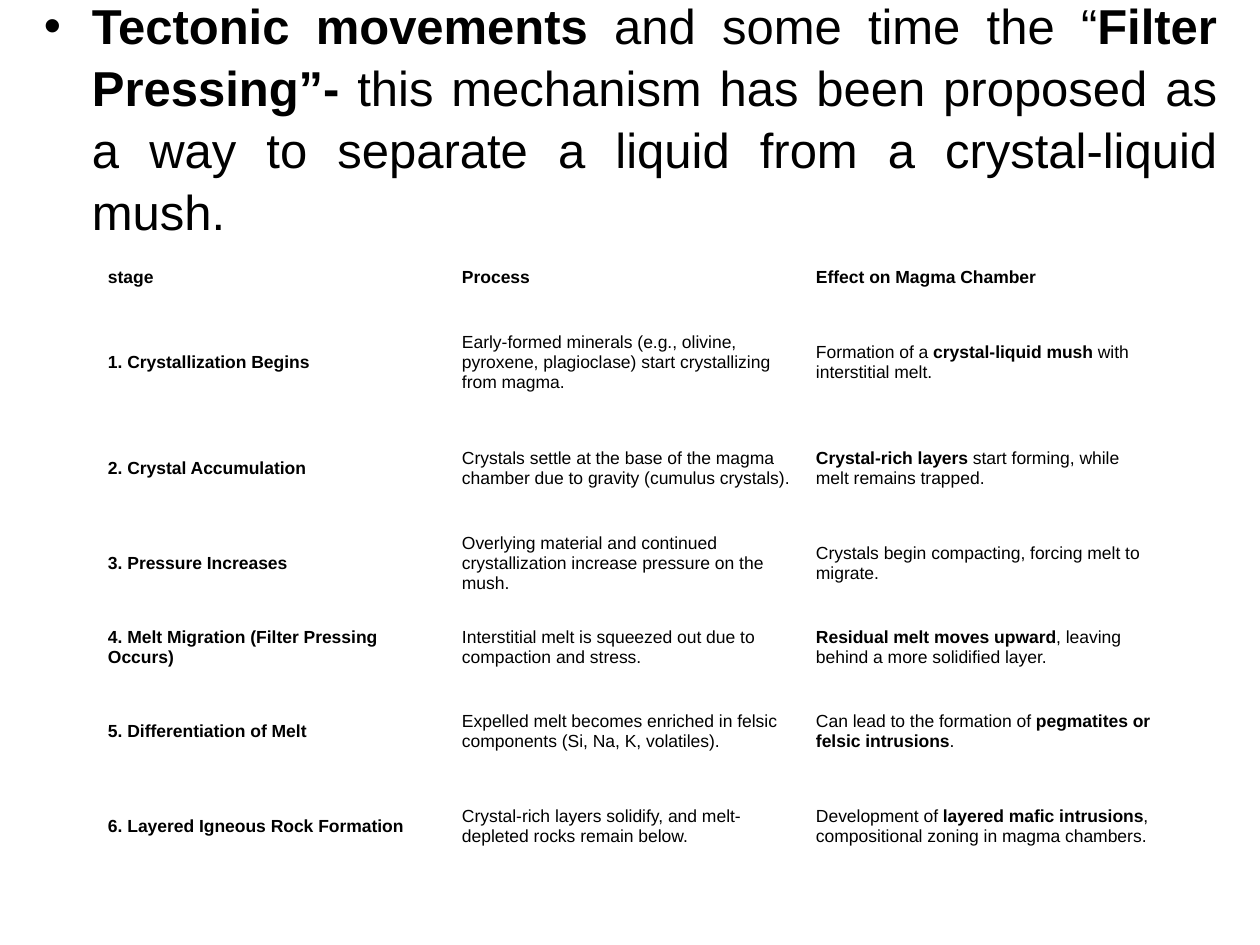
from pptx import Presentation
from pptx.dml.color import RGBColor
from pptx.enum.text import MSO_ANCHOR, PP_ALIGN
from pptx.oxml.ns import qn
from pptx.util import Pt
from lxml.etree import SubElement

PX = 914400 // 126
INK = "000000"
COL_WIDTH = 354
ROW_HEIGHTS = [52, 117, 95, 95, 73, 95, 95]
MECHANISM = (
    "**Tectonic movements** and some time the “**Filter Pressing”- **this mechanism "
    "has been proposed as a way to separate a liquid from a crystal-liquid mush."
)
STAGES = [
    ("**stage**", "**Process**", "**Effect on Magma Chamber**"),
    ("**1. Crystallization Begins**",
     "Early-formed minerals (e.g., olivine, pyroxene, plagioclase) start crystallizing from magma.",
     "Formation of a **crystal-liquid mush** with interstitial melt."),
    ("**2. Crystal Accumulation**",
     "Crystals settle at the base of the magma chamber due to gravity (cumulus crystals).",
     "**Crystal-rich layers** start forming, while melt remains trapped."),
    ("**3. Pressure Increases**",
     "Overlying material and continued crystallization increase pressure on the mush.",
     "Crystals begin compacting, forcing melt to migrate."),
    ("**4. Melt Migration (Filter Pressing Occurs)**",
     "Interstitial melt is squeezed out due to compaction and stress.",
     "**Residual melt moves upward**, leaving behind a more solidified layer."),
    ("**5. Differentiation of Melt**",
     "Expelled melt becomes enriched in felsic components (Si, Na, K, volatiles).",
     "Can lead to the formation of **pegmatites or felsic intrusions**."),
    ("**6. Layered Igneous Rock Formation**",
     "Crystal-rich layers solidify, and melt-depleted rocks remain below.",
     "Development of **layered mafic intrusions**, compositional zoning in magma chambers."),
]


def px(n):
    """Turn whole pixels into EMU."""
    return n * PX


def color(value):
    """Turn a hex string into a colour."""
    return RGBColor.from_string(value)


def write(p, text, size=10, font="Arial", fill=INK, align=PP_ALIGN.LEFT, spacing=None):
    """Write text into a paragraph, with bold parts between double asterisks."""
    p.alignment = align
    if spacing:
        p.line_spacing = spacing
    for i, part in enumerate(text.split("**")):
        if part:
            r = p.add_run()
            r.text = part
            r.font.size = Pt(size)
            r.font.name = font
            r.font.bold = i % 2 == 1
            r.font.color.rgb = color(fill)


def set_margins(box, left, top, right, bottom):
    """Set the inner margins of a text frame or cell."""
    box.margin_left, box.margin_top = px(left), px(top)
    box.margin_right, box.margin_bottom = px(right), px(bottom)


def add_bullet(p, indent):
    """Give a paragraph a hanging round bullet."""
    pPr = p._p.get_or_add_pPr()
    pPr.set("marL", str(px(indent)))
    pPr.set("indent", str(-px(indent)))
    SubElement(pPr, qn("a:buFont")).set("typeface", "Arial")
    SubElement(pPr, qn("a:buChar")).set("char", "•")


def add_body(slide, text):
    """Add the justified bullet statement."""
    tf = slide.shapes.add_textbox(px(32), px(-84), px(1197), px(872)).text_frame
    tf.word_wrap = True
    set_margins(tf, 12, 77, 12, 6)
    p = tf.paragraphs[0]
    add_bullet(p, 48)
    write(p, text, size=28, align=PP_ALIGN.JUSTIFY, spacing=1.05)


def add_stage_table(slide, rows):
    """Add the plain table of stages."""
    cols = len(rows[0])
    frame = slide.shapes.add_table(len(rows), cols, px(100), px(252),
                                   px(COL_WIDTH * cols), px(sum(ROW_HEIGHTS)))
    table = frame.table
    table.first_row = table.horz_banding = False
    for col in table.columns:
        col.width = px(COL_WIDTH)
    for row, height, texts in zip(table.rows, ROW_HEIGHTS, rows):
        row.height = px(height)
        for cell, text in zip(row.cells, texts):
            cell.fill.background()
            cell.vertical_anchor = MSO_ANCHOR.MIDDLE
            set_margins(cell, 8, 4, 8, 4)
            write(cell.text_frame.paragraphs[0], text)


def main():
    """Build and save the slide."""
    prs = Presentation()
    prs.slide_width, prs.slide_height = px(1260), px(945)
    slide = prs.slides.add_slide(prs.slide_layouts[6])
    add_body(slide, MECHANISM)
    add_stage_table(slide, STAGES)
    prs.save("out.pptx")


if __name__ == "__main__":
    main()
